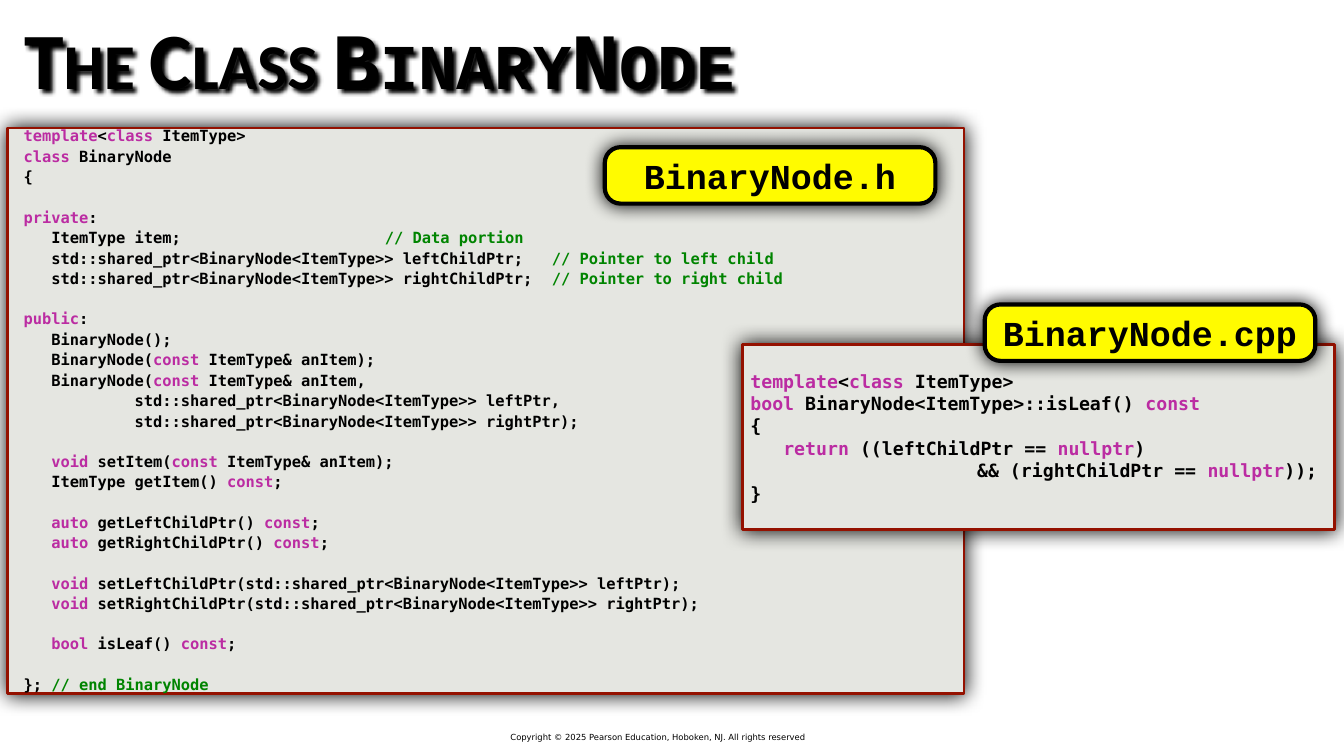
from itertools import groupby

from lxml import etree
from pptx import Presentation
from pptx.dml.color import RGBColor
from pptx.enum.shapes import MSO_SHAPE
from pptx.enum.text import MSO_ANCHOR, MSO_AUTO_SIZE, PP_ALIGN
from pptx.oxml.ns import qn
from pptx.util import Inches, Pt

RECTANGLE = MSO_SHAPE.RECTANGLE
ROUNDED = MSO_SHAPE.ROUNDED_RECTANGLE
MIDDLE, TOP = MSO_ANCHOR.MIDDLE, MSO_ANCHOR.TOP
LEFT, CENTER = PP_ALIGN.LEFT, PP_ALIGN.CENTER
NO_AUTOFIT = MSO_AUTO_SIZE.NONE
TITLE_ONLY = 5

WIDTH, HEIGHT = Inches(26.67), Inches(15)
COLORS = {
    "text": "000000",
    "keyword": "BB2CA2",
    "comment": "008400",
    "panel": "E5E6E1",
    "border": "941100",
    "badge": "FFFB00",
}
CODE_FONT, BADGE_FONT = "DejaVu Sans Mono", "Courier New"
KEYWORDS = {"template", "class", "private", "public", "const", "void",
            "auto", "bool", "return", "nullptr"}
LINE_HEIGHT = 1.17

HEADER_BLOCKS = [
    ["template<class ItemType>",
     "class BinaryNode",
     "{"],
    ["private:",
     "   ItemType item;\t// Data portion",
     "   std::shared_ptr<BinaryNode<ItemType>> leftChildPtr;\t// Pointer to left child",
     "   std::shared_ptr<BinaryNode<ItemType>> rightChildPtr;\t// Pointer to right child"],
    ["public:",
     "   BinaryNode();",
     "   BinaryNode(const ItemType& anItem);",
     "   BinaryNode(const ItemType& anItem,",
     "            std::shared_ptr<BinaryNode<ItemType>> leftPtr,",
     "            std::shared_ptr<BinaryNode<ItemType>> rightPtr);"],
    ["   void setItem(const ItemType& anItem);",
     "   ItemType getItem() const;"],
    ["   auto getLeftChildPtr() const;",
     "   auto getRightChildPtr() const;"],
    ["   void setLeftChildPtr(std::shared_ptr<BinaryNode<ItemType>> leftPtr);",
     "   void setRightChildPtr(std::shared_ptr<BinaryNode<ItemType>> rightPtr);"],
    ["   bool isLeaf() const;"],
    ["}; // end BinaryNode"],
]

SOURCE_BLOCKS = [
    ["template<class ItemType>",
     "bool BinaryNode<ItemType>::isLeaf() const",
     "{",
     "   return ((leftChildPtr == nullptr)",
     "\t&& (rightChildPtr == nullptr));",
     "}"],
]


def area(left, top, width, height):
    return (int(WIDTH * left / 100), int(HEIGHT * top / 100),
            int(WIDTH * width / 100), int(HEIGHT * height / 100))


def color(name):
    return RGBColor.from_string(COLORS[name])


def add_shadow(shape, blur, distance=0, angle=0):
    shape.shadow.inherit = False
    effects = shape._element.spPr.find(qn("a:effectLst"))
    shadow = etree.SubElement(
        effects, qn("a:outerShdw"), blurRad=str(Pt(blur)),
        dist=str(Pt(distance)), dir=str(angle * 60000), rotWithShape="0")
    etree.SubElement(shadow, qn("a:srgbClr"), val=COLORS["text"])


def set_frame(frame, anchor, inset_x, inset_y):
    frame.word_wrap = True
    frame.auto_size = NO_AUTOFIT
    frame.vertical_anchor = anchor
    frame.margin_left = frame.margin_right = Inches(inset_x)
    frame.margin_top = frame.margin_bottom = Inches(inset_y)


def add_run(paragraph, text, font, size, bold=True, tone="text"):
    run = paragraph.add_run()
    run.text = text
    run.font.name = font
    run.font.size = Pt(size)
    run.font.bold = bold
    run.font.color.rgb = color(tone)
    return run


def add_box(slide, kind, place, fill, border, border_width, blur):
    box = slide.shapes.add_shape(kind, *area(*place))
    box.fill.solid()
    box.fill.fore_color.rgb = color(fill)
    box.line.color.rgb = color(border)
    box.line.width = Pt(border_width)
    add_shadow(box, blur)
    return box


def add_panel(slide, place):
    add_box(slide, RECTANGLE, place, "panel", "border", 4, 30)


def add_badge(slide, left, top, file_name):
    badge = add_box(slide, ROUNDED, (left, top, 24.6, 7.47),
                    "badge", "text", 6, 27)
    badge.adjustments[0] = 0.28
    set_frame(badge.text_frame, MIDDLE, 0.08, 0.08)
    paragraph = badge.text_frame.paragraphs[0]
    paragraph.alignment = CENTER
    add_run(paragraph, file_name, BADGE_FONT, 50)


def set_tabs(paragraph, stops):
    tabs = etree.SubElement(paragraph._p.get_or_add_pPr(), qn("a:tabLst"))
    for stop in stops:
        etree.SubElement(tabs, qn("a:tab"), pos=str(Inches(stop)), algn="l")


def tokenize(line):
    code, mark, comment = line.partition("//")
    words = ("".join(chars) for _, chars in groupby(code, str.isalnum))
    tones = [("keyword" if word in KEYWORDS else "text", word) for word in words]
    if mark:
        tones.append(("comment", mark + comment))
    for tone, group in groupby(tones, lambda pair: pair[0]):
        yield "".join(word for _, word in group), tone


def add_code(slide, place, blocks, size, spacing, stops):
    frame = slide.shapes.add_textbox(*area(*place)).text_frame
    set_frame(frame, TOP, 0.12, 0.12)
    block_gap = size * LINE_HEIGHT + 2 * spacing
    lines = [(line, spacing if row else block_gap)
             for block in blocks for row, line in enumerate(block)]
    for index, (line, space) in enumerate(lines):
        paragraph = frame.add_paragraph() if index else frame.paragraphs[0]
        set_tabs(paragraph, stops)
        paragraph.space_before = Pt(space if index else 0)
        for text, tone in tokenize(line):
            add_run(paragraph, text, CODE_FONT, size, tone=tone)


def add_title(slide):
    title = slide.shapes.title
    title.left, title.top, title.width, title.height = area(1.5, 0, 90.06, 15.27)
    set_frame(title.text_frame, MIDDLE, 0.08, 0.08)
    add_shadow(title, 5, 5, 45)
    paragraph = title.text_frame.paragraphs[0]
    paragraph.alignment = LEFT
    for text, font in (("The Class ", "Calibri"), ("BinaryNode", BADGE_FONT)):
        run = add_run(paragraph, text, font, 114)
        run._r.get_or_add_rPr().set("cap", "small")


def add_copyright(slide):
    frame = slide.shapes.add_textbox(*area(37.98, 96.73, 25.38, 1.6)).text_frame
    set_frame(frame, MIDDLE, 0, 0.02)
    add_run(frame.paragraphs[0],
            "Copyright © 2025 Pearson Education, Hoboken, NJ. All rights reserved",
            "DejaVu Sans", 12, bold=False)


def main():
    deck = Presentation()
    deck.slide_width, deck.slide_height = WIDTH, HEIGHT
    slide = deck.slides.add_slide(deck.slide_layouts[TITLE_ONLY])
    add_copyright(slide)
    add_panel(slide, (0.56, 16.93, 71.17, 74.8))
    add_code(slide, (1.31, 15.93, 70.38, 75.87), HEADER_BLOCKS, 22, 2.8, (7.17, 10.48))
    add_title(slide)
    add_panel(slide, (55.23, 45.53, 44.06, 24.47))
    add_code(slide, (55.38, 48.13, 44.5, 19.2), SOURCE_BLOCKS, 26, 0.8, (4.5,))
    add_badge(slide, 45, 19.47, "BinaryNode.h")
    add_badge(slide, 73.27, 40.27, "BinaryNode.cpp")
    deck.save("out.pptx")


if __name__ == "__main__":
    main()
